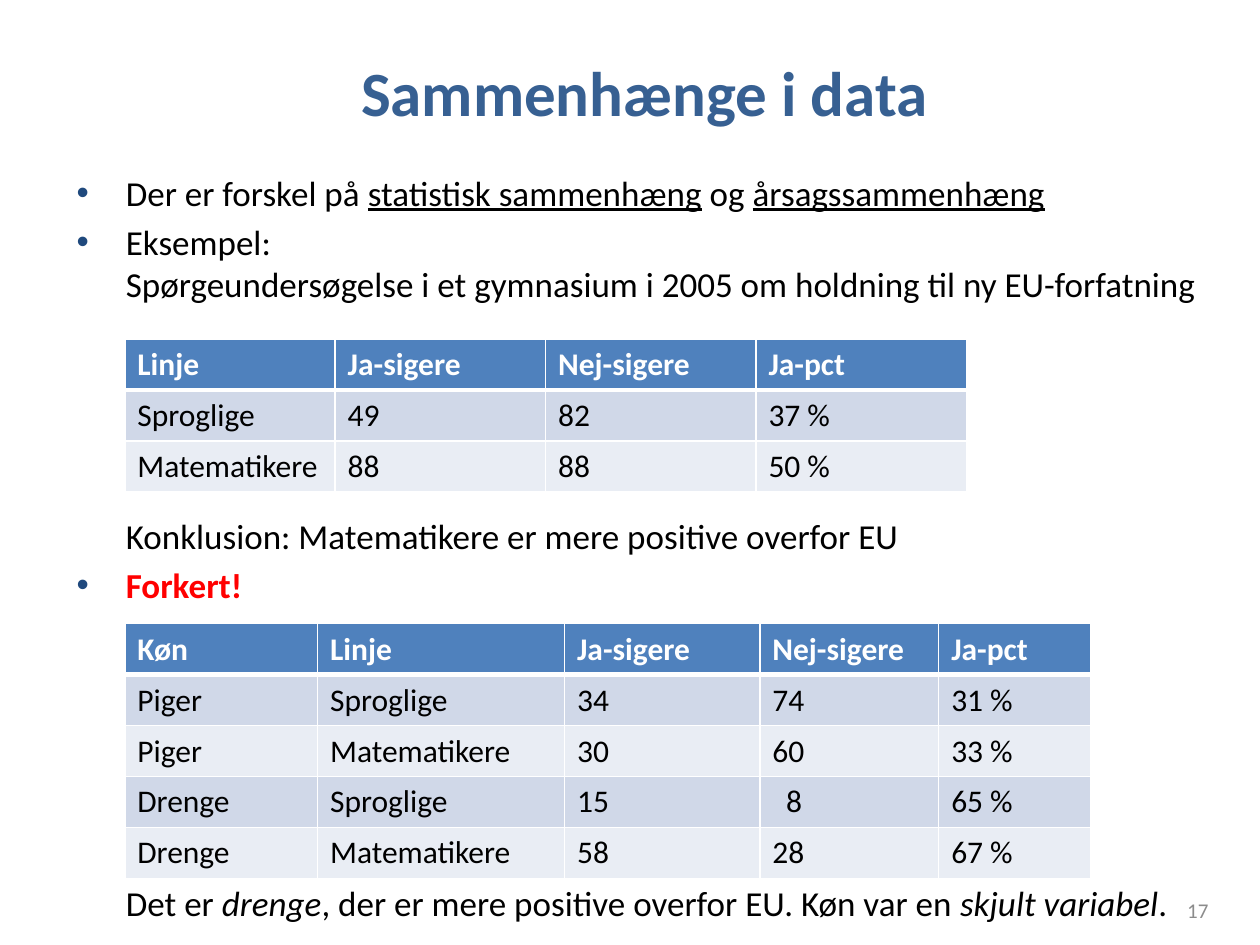
from dataclasses import dataclass

from lxml.etree import SubElement
from pptx import Presentation
from pptx.dml.color import RGBColor
from pptx.enum.text import MSO_ANCHOR, PP_ALIGN
from pptx.oxml.ns import qn
from pptx.util import Inches, Pt


@dataclass(frozen=True)
class Theme:
    font: str = "Calibri"
    title: str = "376092"
    text: str = "000000"
    warning: str = "FF0000"
    bullet: str = "1F497D"
    number: str = "8C8C8C"
    white: str = "FFFFFF"
    header: str = "4F81BD"
    bands: tuple = ("D0D8E8", "E9EDF4")
    title_size: int = 36
    body_size: int = 20
    table_size: int = 18
    number_size: int = 12


THEME = Theme()
INDENT = Inches(0.39)


def add_text(p, text, size=THEME.body_size, color=THEME.text,
             bold=False, italic=False, underline=False):
    r = p.add_run()
    r.text = text
    f = r.font
    f.name, f.size = THEME.font, Pt(size)
    f.bold, f.italic, f.underline = bold, italic, underline
    f.color.rgb = RGBColor.from_string(color)


def place(sp, box):
    sp.left, sp.top, sp.width, sp.height = (Inches(v) for v in box)


def add_title(s, box, text):
    sp = s.shapes.title
    place(sp, box)
    tf = sp.text_frame
    tf.vertical_anchor = MSO_ANCHOR.MIDDLE
    p = tf.paragraphs[0]
    p.alignment = PP_ALIGN.CENTER
    add_text(p, text, THEME.title_size, THEME.title, bold=True)


def format_paragraph(p, bullet):
    """Hang the paragraph on the body indent, with or without a bullet."""
    pPr = p._p.get_or_add_pPr()
    pPr.set("marL", str(INDENT))
    pPr.set("indent", str(-INDENT if bullet else 0))
    if bullet:
        color = SubElement(pPr, qn("a:buClr"))
        SubElement(color, qn("a:srgbClr"), val=THEME.bullet)
        SubElement(pPr, qn("a:buFont"), typeface="Arial")
        SubElement(pPr, qn("a:buChar"), char="•")
    else:
        SubElement(pPr, qn("a:buNone"))


def add_body(s, box, paragraphs):
    """Each paragraph is (bullet, points before, [(text, format), ...])."""
    tf = s.shapes.add_textbox(*(Inches(v) for v in box)).text_frame
    tf.word_wrap = True
    for i, (bullet, before, runs) in enumerate(paragraphs):
        p = tf.add_paragraph() if i else tf.paragraphs[0]
        p.space_before = Pt(before)
        format_paragraph(p, bullet)
        for text, style in runs:
            add_text(p, text, **style)


def set_borders(cell, top, bottom):
    tcPr = cell._tc.get_or_add_tcPr()
    for side, width in (("L", 1), ("R", 1), ("T", top), ("B", bottom)):
        ln = SubElement(tcPr, qn(f"a:ln{side}"), w=str(Pt(width)))
        fill = SubElement(ln, qn("a:solidFill"))
        SubElement(fill, qn("a:srgbClr"), val=THEME.white)


def add_data_table(s, left, top, widths, rows, row_height=0.405):
    table = s.shapes.add_table(
        len(rows), len(widths), Inches(left), Inches(top),
        Inches(sum(widths)), Inches(row_height * len(rows))).table
    for col, width in zip(table.columns, widths):
        col.width = Inches(width)
    for i, values in enumerate(rows):
        table.rows[i].height = Inches(row_height)
        header = i == 0
        for j, value in enumerate(values):
            cell = table.cell(i, j)
            set_borders(cell, top=3 if i == 1 else 1, bottom=3 if header else 1)
            cell.fill.solid()
            cell.fill.fore_color.rgb = RGBColor.from_string(
                THEME.header if header else THEME.bands[(i - 1) % 2])
            # Single digits line up under the units of the two-digit counts
            if len(value) == 1:
                cell.margin_left = Inches(0.21)
            add_text(cell.text_frame.paragraphs[0], value, THEME.table_size,
                     THEME.white if header else THEME.text, bold=header)


def add_slide_number(s, box, number):
    tf = s.shapes.add_textbox(*(Inches(v) for v in box)).text_frame
    tf.word_wrap = True
    tf.vertical_anchor = MSO_ANCHOR.MIDDLE
    p = tf.paragraphs[0]
    p.alignment = PP_ALIGN.RIGHT
    add_text(p, number, THEME.number_size, THEME.number)


def main():
    prs = Presentation()
    prs.slide_width, prs.slide_height = Inches(10), Inches(7.5)
    s = prs.slides.add_slide(prs.slide_layouts[5])

    add_title(s, (0.51, 0.3, 9.21, 0.85), "Sammenhænge i data")

    # Body text, with room left for the two tables
    plain, under, italic = {}, {"underline": True}, {"italic": True}
    add_body(s, (0.51, 1.31, 9.21, 6.06), [
        (True, 0, [("Der er forskel på ", plain),
                   ("statistisk sammenhæng", under),
                   (" og ", plain),
                   ("årsagssammenhæng", under)]),
        (True, 4, [("Eksempel:", plain)]),
        (False, 0, [("Spørgeundersøgelse i et gymnasium i 2005 om holdning "
                     "til ny EU-forfatning", plain)]),
        (False, 120, [("Konklusion: Matematikere er mere positive overfor EU", plain)]),
        (True, 4, [("Forkert!", {"color": THEME.warning, "bold": True})]),
        (False, 158, [("Det er ", plain),
                      ("drenge", italic),
                      (", der er mere positive overfor EU. Køn var en ", plain),
                      ("skjult variabel", italic),
                      (".", plain)]),
    ])

    add_slide_number(s, (7.36, 7.06, 2.33, 0.32), "17")

    # Answers by line of study
    counts = ["Ja-sigere", "Nej-sigere", "Ja-pct"]
    add_data_table(s, 0.99, 2.69, [1.67] * 4, [
        ["Linje", *counts],
        ["Sproglige", "49", "82", "37 %"],
        ["Matematikere", "88", "88", "50 %"],
    ])

    # Answers by sex and line of study
    add_data_table(s, 0.99, 4.95, [1.53, 1.96, 1.55, 1.42, 1.21], [
        ["Køn", "Linje", *counts],
        ["Piger", "Sproglige", "34", "74", "31 %"],
        ["Piger", "Matematikere", "30", "60", "33 %"],
        ["Drenge", "Sproglige", "15", "8", "65 %"],
        ["Drenge", "Matematikere", "58", "28", "67 %"],
    ])

    prs.save("out.pptx")


if __name__ == "__main__":
    main()
